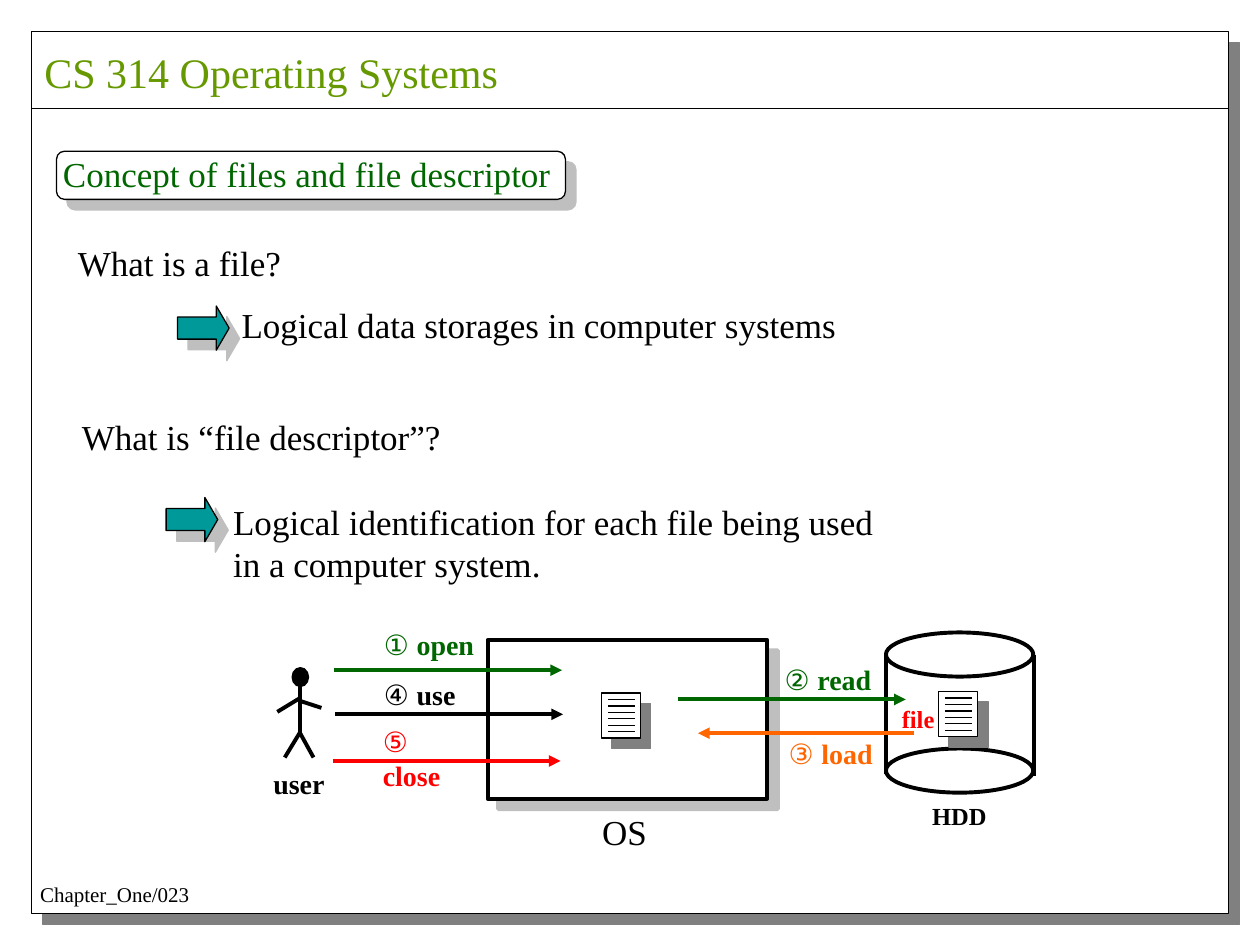
from lxml.etree import SubElement as Sub
from pptx import Presentation
from pptx.dml.color import RGBColor
from pptx.enum.shapes import MSO_CONNECTOR as Link, MSO_SHAPE as Kind
from pptx.enum.text import MSO_ANCHOR as Anchor, PP_ALIGN as Align
from pptx.oxml.ns import qn
from pptx.util import Cm, Pt

BLACK, WHITE, GRAY = "000000", "FFFFFF", "808080"
GREEN, LIME, TEAL = "006600", "669900", "009999"
RED, ORANGE = "FF0000", "FF6600"
SERIF, SANS = "Times New Roman", "Arial"
THIN, THICK = 0.75, 2.25


def color(code):
    return RGBColor.from_string(code)


class Board:
    """Holds the style and the current slide."""

    def __init__(self, slide):
        self.slide = slide
        self.shapes = slide.shapes

    def run(self, para, text, size, ink, bold=False, font=SERIF):
        run = para.add_run()
        run.text = text
        run.font.name, run.font.size = font, Pt(size)
        run.font.bold = bold
        run.font.color.rgb = color(ink)

    def fit(self, frame, wrap=False):
        frame.word_wrap = wrap
        # Give one-line text the room of the right inset
        if not wrap:
            frame.margin_right = 0

    def text(self, left, top, width, height, lines, size=20, ink=BLACK,
             bold=False, wrap=False):
        box = self.shapes.add_textbox(Cm(left), Cm(top), Cm(width), Cm(height))
        frame = box.text_frame
        self.fit(frame, wrap)
        for i, line in enumerate(lines):
            para = frame.add_paragraph() if i else frame.paragraphs[0]
            self.run(para, line, size, ink, bold)
        return frame.paragraphs[0]

    def title(self, left, top, width, height, text):
        title = self.shapes.title
        title.left, title.top = Cm(left), Cm(top)
        title.width, title.height = Cm(width), Cm(height)
        frame = title.text_frame
        self.fit(frame)
        frame.vertical_anchor = Anchor.TOP
        para = frame.paragraphs[0]
        para.alignment = Align.LEFT
        self.run(para, text, 24, LIME)
        # Bring the title in front of the page frame
        title.element.getparent().append(title.element)

    def shape(self, kind, left, top, width, height, fill=WHITE, line=THIN,
              shade=None):
        shape = self.shapes.add_shape(
            kind, Cm(left), Cm(top), Cm(width), Cm(height))
        if fill:
            shape.fill.solid()
            shape.fill.fore_color.rgb = color(fill)
        else:
            shape.fill.background()
        shape.line.color.rgb = color(BLACK)
        shape.line.width = Pt(line)
        shape.shadow.inherit = False
        if shade:
            group = shape.element.spPr.find(qn("a:effectLst"))
            drop = Sub(group, qn("a:outerShdw"), dist=str(Pt(8.5)),
                       dir="2700000", algn="ctr", rotWithShape="0")
            tint = Sub(drop, qn("a:srgbClr"), val=GRAY)
            Sub(tint, qn("a:alpha"), val=str(shade * 1000))
        return shape

    def line(self, x1, y1, x2, y2, width=THICK, ink=BLACK, arrow=False):
        line = self.shapes.add_connector(
            Link.STRAIGHT, Cm(x1), Cm(y1), Cm(x2), Cm(y2))
        line.line.color.rgb = color(ink)
        line.line.width = Pt(width)
        props = line.element.spPr
        if arrow:
            Sub(props.find(qn("a:ln")), qn("a:tailEnd"), type="triangle")
        Sub(props, qn("a:effectLst"))

    def sheet(self, left, top):
        self.shape(Kind.RECTANGLE, left, top, 0.79, 0.91, shade=100)
        for i in range(6):
            y = top + 0.13 * (i + 1)
            self.line(left + 0.14, y, left + 0.68, y, THIN)

    def block(self, left, top):
        arrow = self.shape(Kind.RIGHT_ARROW, left, top, 1.04, 0.89, TEAL,
                           shade=50)
        arrow.adjustments[1] = 0.29

    def step(self, x1, x2, y, left, top, width, mark, word, ink, wrap=False):
        self.line(x1, y, x2, y, ink=ink, arrow=True)
        para = self.text(left, top, width, 0.94, [], wrap=wrap)
        self.run(para, mark + " ", 16, ink, font=SANS)
        self.run(para, word, 16, ink, True)


def main():
    deck = Presentation()
    deck.slide_width, deck.slide_height = Cm(25.4), Cm(19.05)
    board = Board(deck.slides.add_slide(deck.slide_layouts[5]))

    # Page frame, title and footer
    board.shape(Kind.RECTANGLE, 0.64, 0.64, 24.13, 17.78, shade=100)
    board.line(0.64, 2.19, 24.77, 2.19, THIN)
    board.title(0.64, 0.81, 9.65, 1.27, "CS 314 Operating Systems")
    board.text(0.56, 17.65, 3.5, 0.76, ["Chapter_One/023"], 12)

    # Heading
    board.shape(Kind.ROUNDED_RECTANGLE, 1.14, 3.05, 10.26, 0.97, shade=50)
    board.text(1.02, 2.95, 10.34, 1.12,
               ["Concept of files and file descriptor"], ink=GREEN)

    # Questions and answers
    board.text(1.32, 4.75, 4.6, 1.12, ["What is a file?"])
    board.block(3.58, 6.17)
    board.text(4.62, 5.99, 12.5, 1.12,
               ["Logical data storages in computer systems"])
    board.text(1.4, 8.26, 7.75, 1.12, ["What is “file descriptor”?"])
    board.block(3.35, 10.03)
    board.text(4.45, 9.96, 13.41, 1.96,
               ["Logical identification for each file being used",
                "in a computer system."])

    # Disk
    for x, y in ((17.86, 13.16), (20.85, 13.21)):
        board.line(x, y, x, y + 2.44)
    for y in (12.75, 15.09):
        board.shape(Kind.OVAL, 17.86, y, 2.97, 0.89, None, THICK)
    board.text(18.54, 16.03, 1.6, 0.86, ["HDD"], 14, bold=True)
    board.sheet(18.92, 13.94)
    board.text(17.93, 14.07, 1.17, 0.86, ["file"], 14, RED, True)

    # Operating system
    board.shape(Kind.RECTANGLE, 9.83, 12.9, 5.64, 3.2, line=THICK, shade=50)
    board.text(11.89, 16.21, 1.4, 1.12, ["OS"])

    # User: head, body, legs, arms
    board.shape(Kind.OVAL, 5.89, 13.46, 0.33, 0.38, BLACK)
    for limb in ((6.05, 13.64, 6.05, 14.78),
                 (6.05, 14.76, 5.74, 15.27), (6.05, 14.78, 6.32, 15.27),
                 (6.05, 14.07, 5.59, 14.35), (6.02, 14.12, 6.48, 14.27)):
        board.line(*limb)
    board.text(5.26, 15.32, 1.52, 0.94, ["user"], 16, bold=True)

    # Steps
    board.step(6.73, 11.33, 13.51, 7.49, 12.52, 2.31, "①", "open", GREEN)
    board.step(13.67, 18.26, 14.1, 15.57, 13.23, 2.24, "②", "read", GREEN)
    board.step(18.42, 14.07, 14.78, 15.65, 14.73, 2.18, "③", "load", ORANGE)
    board.sheet(12.12, 13.97)
    board.step(6.76, 11.35, 14.4, 7.49, 13.54, 1.93, "④", "use", BLACK)
    board.step(6.71, 11.3, 15.34, 7.47, 14.48, 2.2, "⑤", "close", RED, True)

    deck.save("out.pptx")


if __name__ == "__main__":
    main()
